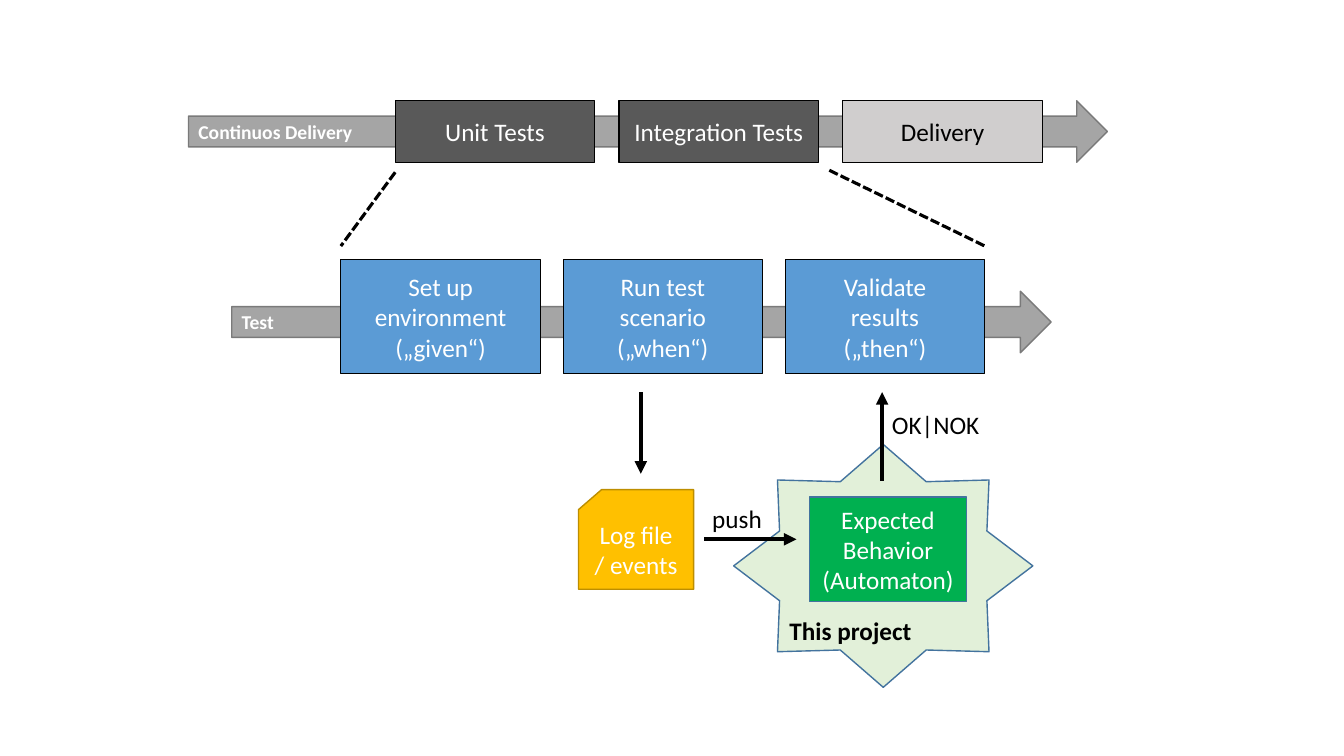
from lxml import etree
from pptx import Presentation
from pptx.dml.color import RGBColor
from pptx.enum import dml, shapes, text
from pptx.oxml import ns
from pptx.util import Cm, Pt

WHITE = RGBColor(0xFF, 0xFF, 0xFF)
BLACK = RGBColor(0, 0, 0)
DARK_GRAY = RGBColor(0x59, 0x59, 0x59)
LIGHT_GRAY = RGBColor(0xD0, 0xCE, 0xCE)
ARROW_GRAY = RGBColor(0xA5, 0xA5, 0xA5)
ARROW_EDGE = RGBColor(0x7A, 0x7A, 0x7A)
BLUE = RGBColor(0x5B, 0x9B, 0xD5)
BLUE_EDGE = RGBColor(0x43, 0x73, 0x9E)
YELLOW = RGBColor(0xFF, 0xC0, 0x00)
YELLOW_EDGE = RGBColor(0xBD, 0x8E, 0x00)
GREEN = RGBColor(0x00, 0xB0, 0x50)
PALE_GREEN = RGBColor(0xE2, 0xF0, 0xD9)

FONT = "Calibri"
STEP_WIDTH = 5.03
KIND = shapes.MSO_SHAPE
LEFT, CENTER = text.PP_ALIGN.LEFT, text.PP_ALIGN.CENTER

LANES = [
    {"title": "Continuos Delivery", "arrow": (4.75, 2.54, 23.16, 1.55),
     "first": 9.96, "pitch": 5.64, "top": 2.54, "height": 1.55,
     "steps": [("Unit Tests", DARK_GRAY, WHITE),
               ("Integration Tests", DARK_GRAY, WHITE),
               ("Delivery", LIGHT_GRAY, BLACK)]},
    {"title": "Test", "arrow": (5.84, 7.34, 20.65, 1.55),
     "first": 8.59, "pitch": 5.6, "top": 6.55, "height": 2.87,
     "steps": [("Set up environment\n(„given“)", BLUE, WHITE),
               ("Run test\nscenario\n(„when“)", BLUE, WHITE),
               ("Validate\nresults\n(„then“)", BLUE, WHITE)]},
]
ZOOM_LINES = [(9.96, 4.34, 8.59, 6.2), (20.9, 4.29, 24.82, 6.2)]
FLOW_ARROWS = [(16.15, 9.88, 16.15, 11.94),
               (17.75, 13.59, 20.07, 13.59),
               (22.23, 12.12, 22.23, 9.88)]
FLOW_LABELS = [("push", (17.7, 12.57, 1.78, 1.02)),
               ("OK|NOK", (22.23, 10.19, 2.74, 1.02))]

deck = Presentation()
deck.slide_width, deck.slide_height = Cm(33.87), Cm(19.05)
page = deck.slides.add_slide(deck.slide_layouts[6])


def write(box, words, color, size=18, bold=False, align=CENTER):
    para = box.text_frame.paragraphs[0]
    para.text = words
    para.alignment = align
    para.font.name = FONT
    para.font.size = Pt(size)
    para.font.bold = bold
    para.font.color.rgb = color


def add_box(kind, place, fill, edge, words, color=WHITE, edge_width=1,
            anchor=text.MSO_ANCHOR.MIDDLE, **style):
    box = page.shapes.add_shape(kind, *map(Cm, place))
    box.shadow.inherit = False
    box.fill.solid()
    box.fill.fore_color.rgb = fill
    box.line.color.rgb = edge
    box.line.width = Pt(edge_width)
    box.text_frame.word_wrap = True
    box.text_frame.vertical_anchor = anchor
    write(box, words, color, **style)


def add_line(ends, width, dashed=False, arrow=False):
    line = page.shapes.add_connector(shapes.MSO_CONNECTOR.STRAIGHT, *map(Cm, ends))
    line.line.color.rgb = BLACK
    line.line.width = Pt(width)
    if dashed:
        line.line.dash_style = dml.MSO_LINE.SQUARE_DOT
    if arrow:
        outline = line.line._get_or_add_ln()
        etree.SubElement(outline, ns.qn("a:tailEnd"), type="triangle")
    etree.SubElement(line._element.spPr, ns.qn("a:effectLst"))


add_box(KIND.STAR_8_POINT, (18.49, 11.2, 7.54, 6.12), PALE_GREEN, BLUE_EDGE,
        "This project", BLACK, anchor=text.MSO_ANCHOR.BOTTOM, bold=True, align=LEFT)

for lane in LANES:
    add_box(KIND.RIGHT_ARROW, lane["arrow"], ARROW_GRAY, ARROW_EDGE, lane["title"],
            size=14, bold=True, align=LEFT)
    for index, (words, fill, color) in enumerate(lane["steps"]):
        left = lane["first"] + index * lane["pitch"]
        add_box(KIND.RECTANGLE, (left, lane["top"], STEP_WIDTH, lane["height"]),
                fill, BLACK, words, color, edge_width=0.75)

add_box(KIND.FLOWCHART_CARD, (14.58, 12.34, 2.9, 2.51), YELLOW, YELLOW_EDGE,
        "Log file\n/ events")
add_box(KIND.RECTANGLE, (20.4, 12.52, 3.96, 2.64), GREEN, BLUE_EDGE,
        "Expected Behavior\n(Automaton)")

for ends in ZOOM_LINES:
    add_line(ends, 2.25, dashed=True)
for ends in FLOW_ARROWS:
    add_line(ends, 3, arrow=True)

for words, place in FLOW_LABELS:
    label = page.shapes.add_textbox(*map(Cm, place))
    label.text_frame.word_wrap = False
    label.text_frame.auto_size = text.MSO_AUTO_SIZE.SHAPE_TO_FIT_TEXT
    write(label, words, BLACK, align=LEFT)

deck.save("out.pptx")
